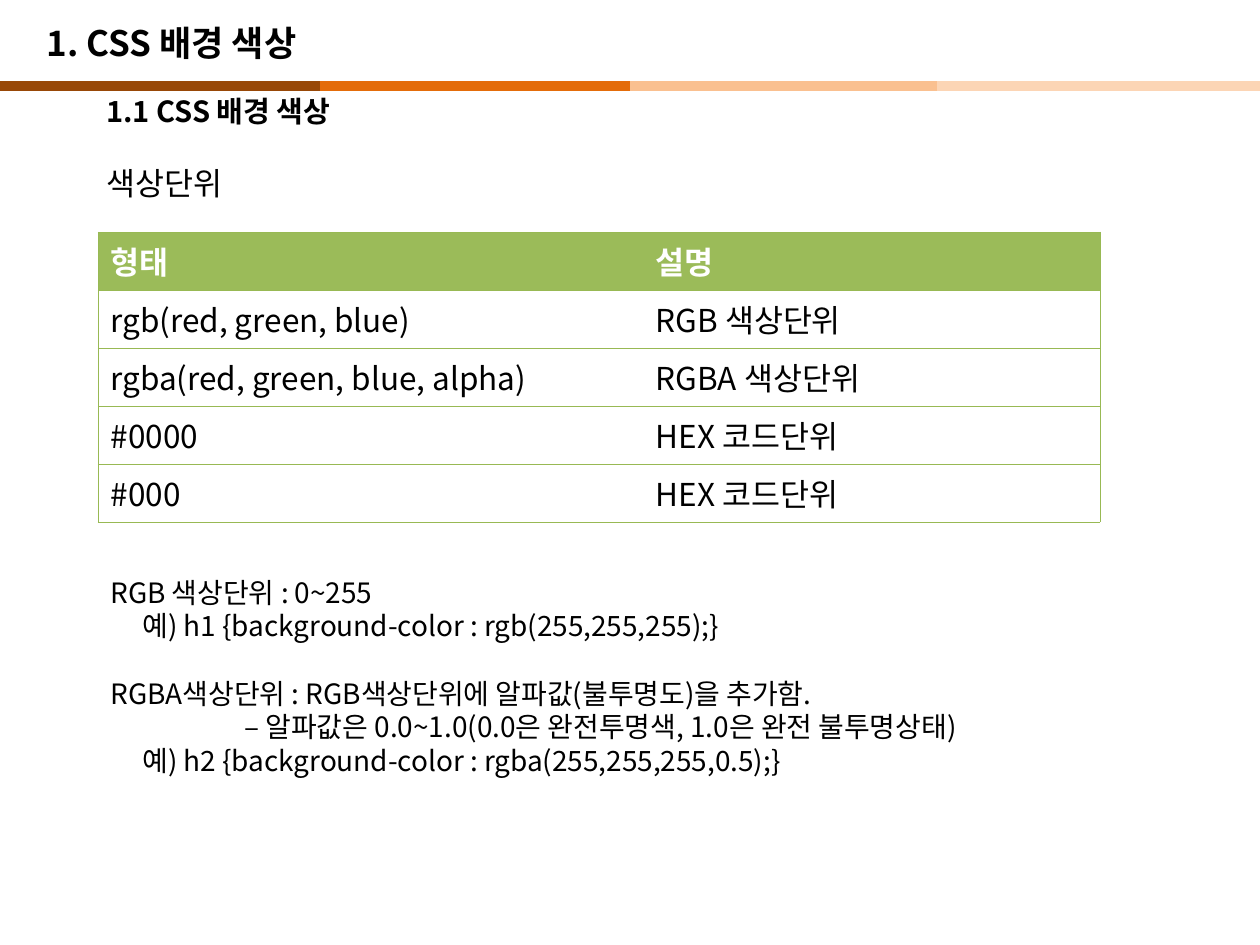
from lxml.etree import SubElement
from pptx import Presentation
from pptx.dml.color import RGBColor
from pptx.enum.shapes import MSO_CONNECTOR
from pptx.enum.text import MSO_ANCHOR
from pptx.oxml import parse_xml
from pptx.oxml.ns import nsdecls, qn
from pptx.util import Emu, Pt

PX_PER_INCH = 126
FONT = "Noto Sans CJK KR"
BLACK = RGBColor(0x00, 0x00, 0x00)
WHITE = RGBColor(0xFF, 0xFF, 0xFF)
GREEN = RGBColor(0x9B, 0xBB, 0x59)
BORDER_GREEN = RGBColor(0x98, 0xB9, 0x54)
BROWN = RGBColor(0x98, 0x48, 0x07)
ORANGE = RGBColor(0xE4, 0x6C, 0x0A)
PEACH = RGBColor(0xFA, 0xC0, 0x90)
PALE_PEACH = RGBColor(0xFC, 0xD5, 0xB5)


def px(length):
    return Emu(round(length * 914400 / PX_PER_INCH))


def write(paragraph, text, size=18, color=BLACK, bold=False,
          indent=0, before=0, line=None):
    """Put formatted text into a paragraph."""
    run = paragraph.add_run()
    run.text = text
    run.font.size = Pt(size)
    run.font.bold = bold
    run.font.color.rgb = color
    run.font.name = FONT
    SubElement(run._r.get_or_add_rPr(), qn("a:ea"), typeface=FONT)
    if indent:
        paragraph._p.get_or_add_pPr().set("marL", str(px(indent)))
    if before:
        paragraph.space_before = Pt(before)
    if line:
        paragraph.line_spacing = Pt(line)


class SlideBuilder:
    def __init__(self, slide):
        self.slide = slide

    def text(self, left, top, width, height, lines, **style):
        box = self.slide.shapes.add_textbox(px(left), px(top), px(width), px(height))
        frame = box.text_frame
        frame.word_wrap = True
        frame.vertical_anchor = MSO_ANCHOR.MIDDLE
        for number, (content, extra) in enumerate(lines):
            paragraph = frame.add_paragraph() if number else frame.paragraphs[0]
            write(paragraph, content, **style, **extra)

    def bar(self, left, right, y, color):
        line = self.slide.shapes.add_connector(
            MSO_CONNECTOR.STRAIGHT, px(left), px(y), px(right), px(y))
        line.line.color.rgb = color
        line.line.width = Pt(6)
        SubElement(line._element.spPr, qn("a:effectLst"))

    def table(self, left, top, widths, row_height, rows):
        table = self.slide.shapes.add_table(
            len(rows), len(widths), px(left), px(top),
            px(sum(widths)), px(row_height * len(rows))).table
        table.first_row = table.horz_banding = False
        for column, width in zip(table.columns, widths):
            column.width = px(width)
        for r, values in enumerate(rows):
            table.rows[r].height = px(row_height)
            for c, value in enumerate(values):
                cell = table.cell(r, c)
                cell.vertical_anchor = MSO_ANCHOR.MIDDLE
                header = r == 0
                if header:
                    cell.fill.solid()
                    cell.fill.fore_color.rgb = GREEN
                else:
                    cell.fill.background()
                write(cell.text_frame.paragraphs[0], value,
                      color=WHITE if header else BLACK, bold=header)
                self.borders(cell, L=c == 0, R=c == len(widths) - 1, T=True, B=True)

    def borders(self, cell, **sides):
        properties = cell._tc.get_or_add_tcPr()
        for position, (side, visible) in enumerate(sides.items()):
            fill = (f'<a:solidFill><a:srgbClr val="{BORDER_GREEN}"/></a:solidFill>'
                    if visible else "<a:noFill/>")
            properties.insert(position, parse_xml(
                f'<a:ln{side} {nsdecls("a")} w="{Pt(0.34)}">{fill}</a:ln{side}>'))


def main():
    deck = Presentation()
    deck.slide_width, deck.slide_height = px(1260), px(945)
    page = SlideBuilder(deck.slides.add_slide(deck.slide_layouts[6]))

    # Coloured rule under the title
    for left, right, color in ((-3, 320, BROWN), (320, 643, ORANGE),
                               (630, 953, PEACH), (937, 1260, PALE_PEACH)):
        page.bar(left, right, 86, color)

    # Headings
    page.text(34, 14, 1042, 57, [("1. CSS 배경 색상", {})], size=20, bold=True)
    page.text(94, 86, 655, 49, [("1.1 CSS 배경 색상", {})], size=16.6, bold=True)
    page.text(94, 151, 277, 64, [("색상단위", {})])

    # Colour units
    page.table(98, 232, (545, 457), 58, [
        ("형태", "설명"),
        ("rgb(red, green, blue)", "RGB 색상단위"),
        ("rgba(red, green, blue, alpha)", "RGBA 색상단위"),
        ("#0000", "HEX 코드단위"),
        ("#000", "HEX 코드단위"),
    ])

    # Explanations and examples
    example = {"indent": 32}
    page.text(98, 542, 1002, 268, [
        ("RGB 색상단위 : 0~255", {}),
        ("예) h1 {background-color : rgb(255,255,255);}", example),
        ("RGBA색상단위 : RGB색상단위에 알파값(불투명도)을 추가함.", {"before": 19.2}),
        ("– 알파값은 0.0~1.0(0.0은 완전투명색, 1.0은 완전 불투명상태)", {"indent": 134}),
        ("예) h2 {background-color : rgba(255,255,255,0.5);}", example),
    ], size=16, line=19.2)

    deck.save("out.pptx")


if __name__ == "__main__":
    main()
